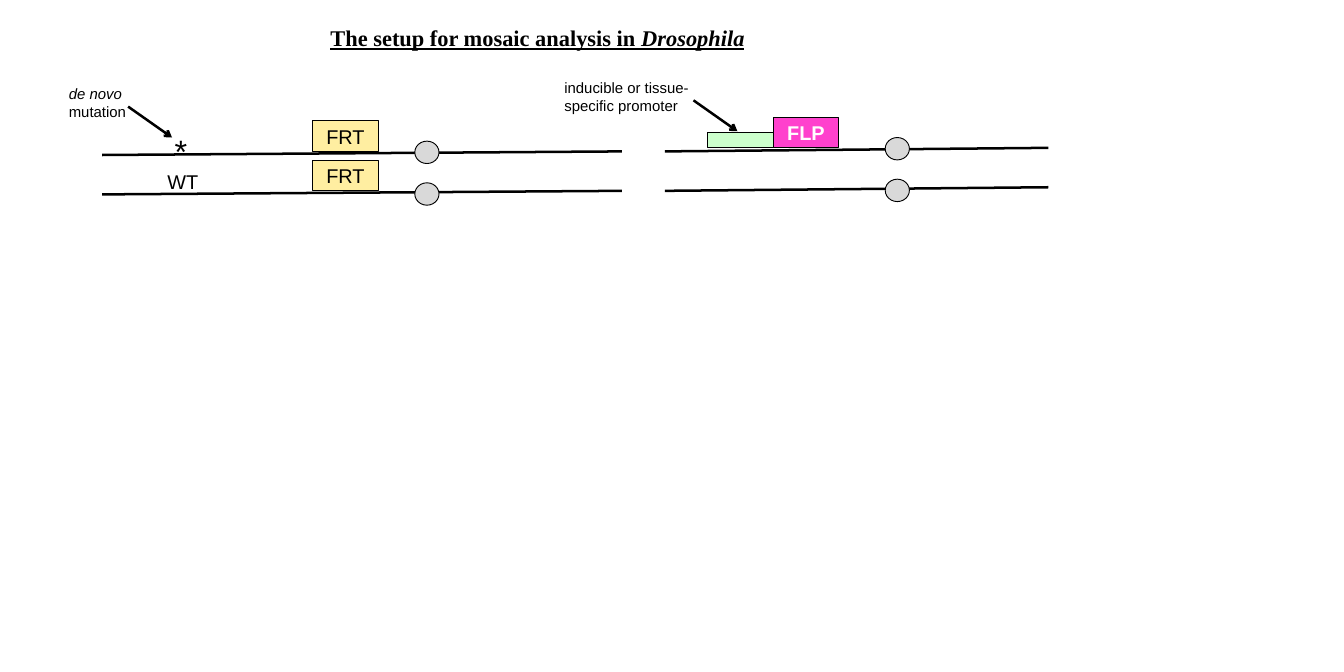
from collections import namedtuple

from lxml.etree import SubElement
from pptx import Presentation
from pptx.dml.color import RGBColor
from pptx.enum.shapes import MSO_CONNECTOR as Connector, MSO_SHAPE as Shape
from pptx.enum.text import MSO_ANCHOR as Anchor, MSO_AUTO_SIZE as AutoSize, PP_ALIGN as Align
from pptx.oxml.ns import qn
from pptx.util import Inches, Pt

# The page is a grid of 150 columns by 75 rows; all lengths are in cells.
CELL = Inches(0.1)
COLUMNS, ROWS = 150, 75
ROW_GAP = 4.4
TAG_WIDTH, TAG_HEIGHT = 7.3, 3.4
COLORS = {
    "ink": "000000",
    "centromere": "D9D9D9",
    "frt": "FFEEA1",
    "flp": "FF41CD",
    "promoter": "CCFFCC",
    "light": "FFFFFF",
}

Box = namedtuple("Box", "left top width height")


def color(name):
    return RGBColor.from_string(COLORS[name])


def cells(*values):
    return [round(value * CELL) for value in values]


def within(region, left, top, width, height):
    """Move a box given relative to a region onto the page."""
    return Box(region.left + left, region.top + top, width, height)


def add_span(para, text, size, ink="ink", font="Arial", bold=False, italic=False, underline=False):
    span = para.add_run()
    span.text = text
    span.font.name = font
    span.font.size = Pt(size)
    span.font.bold, span.font.italic, span.font.underline = bold, italic, underline
    span.font.color.rgb = color(ink)


def add_label(page, box, spans, **style):
    """Add a text box; spans are (text, italic) pairs."""
    frame = page.shapes.add_textbox(*cells(*box)).text_frame
    frame.word_wrap = True
    frame.auto_size = AutoSize.SHAPE_TO_FIT_TEXT
    for text, italic in spans:
        add_span(frame.paragraphs[0], text, italic=italic, **style)


def add_block(page, kind, box, fill, text="", **style):
    block = page.shapes.add_shape(kind, *cells(*box))
    block.shadow.inherit = False
    block.fill.solid()
    block.fill.fore_color.rgb = color(fill)
    block.line.color.rgb = color("ink")
    block.line.width = Pt(0.75)
    if text:
        frame = block.text_frame
        frame.vertical_anchor = Anchor.MIDDLE
        frame.paragraphs[0].alignment = Align.CENTER
        add_span(frame.paragraphs[0], text, 16, **style)


def add_line(page, box, arrow=False):
    """Draw from the box's left top corner; a negative height rises."""
    left, top, width, height = box
    line = page.shapes.add_connector(
        Connector.STRAIGHT, *cells(left, top, left + width, top + height))
    line.line.color.rgb = color("ink")
    line.line.width = Pt(2)
    properties = line._element.spPr
    if arrow:
        SubElement(line.line._get_or_add_ln(), qn("a:tailEnd"), type="arrow")
    SubElement(properties, qn("a:effectLst"))


def add_chromosome_pair(page, region, centromere):
    for row in range(2):
        add_line(page, within(region, 0, 0.4 + row * ROW_GAP, region.width, -0.4))
    for row in range(2):
        add_block(page, Shape.OVAL,
                  within(region, centromere, -1.15 + row * 4.65, 2.7, 2.5), "centromere")


def add_pointer(page, region, left, top):
    add_line(page, within(region, left, top, 4.9, 3.45), arrow=True)


def add_mutant_pair(page, region):
    add_chromosome_pair(page, region, 34.9)
    for row in range(2):
        add_block(page, Shape.RECTANGLE,
                  within(region, 23.5, row * ROW_GAP - TAG_HEIGHT, TAG_WIDTH, TAG_HEIGHT),
                  "frt", "FRT")
    add_label(page, within(region, 7.1, -2.8, 5.1, 5.4), [("*", False)], size=26)
    add_label(page, within(region, 6.3, 1.5, 7.7, 3.7), [("WT", False)], size=16)
    add_pointer(page, region, 2.9, -5)
    add_label(page, within(region, -4.7, -7.9, 8.7, 5),
              [("de novo", True), (" mutation", False)], size=12)


def add_driver_pair(page, region):
    add_chromosome_pair(page, region, 24.6)
    add_block(page, Shape.RECTANGLE,
              within(region, 12.1, -TAG_HEIGHT, TAG_WIDTH, TAG_HEIGHT),
              "flp", "FLP", ink="light", bold=True)
    add_block(page, Shape.RECTANGLE,
              within(region, 12.1 - TAG_WIDTH, -TAG_HEIGHT / 2, TAG_WIDTH, TAG_HEIGHT / 2),
              "promoter")
    add_pointer(page, region, 3.2, -5.3)
    add_label(page, within(region, -12.2, -8.2, 16.5, 5),
              [("inducible or tissue-specific promoter", False)], size=12)


def add_title(page, box):
    add_label(page, box, [("The setup for mosaic analysis in ", False), ("Drosophila", True)],
              size=18, font="Times New Roman", bold=True, underline=True)


def main():
    deck = Presentation()
    deck.slide_width, deck.slide_height = cells(COLUMNS, ROWS)
    page = deck.slides.add_slide(deck.slide_layouts[6])
    add_mutant_pair(page, Box(11.4, 16.9, 58, 4.8))
    add_driver_pair(page, Box(74.2, 16.5, 42.8, 4.8))
    add_title(page, Box(35.9, 2.2, 57.5, 4))
    deck.save("out.pptx")


if __name__ == "__main__":
    main()
